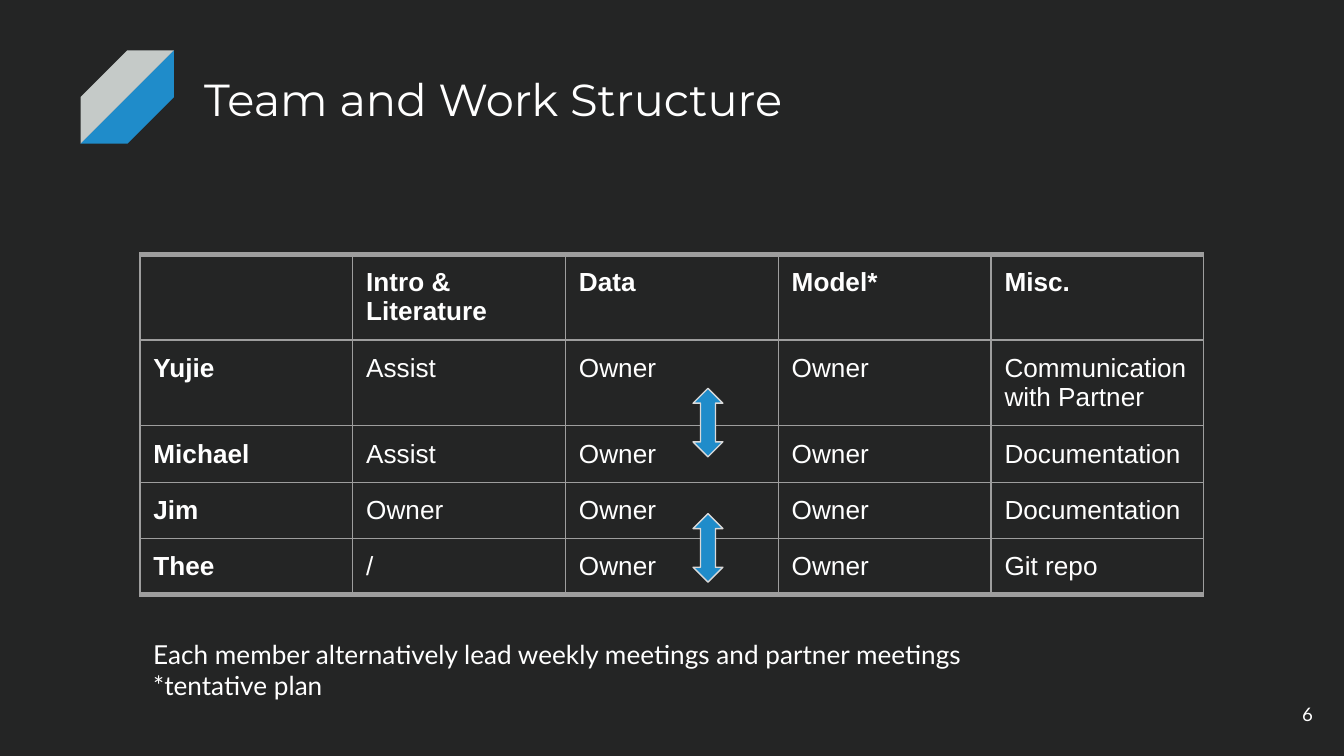
from lxml import etree
from pptx import Presentation
from pptx.dml.color import RGBColor
from pptx.enum import shapes, text
from pptx.oxml import ns
from pptx.util import Pt

C = {"bg": "242525", "white": "FFFFFF", "blue": "1F8CCA",
     "stripe": "C5CAC8", "border": "9E9E9E", "outline": "D9D9D9"}


def style(tf, size, font, bold=False, align=text.PP_ALIGN.LEFT):
    tf.word_wrap = True
    tf.margin_left = tf.margin_right = tf.margin_top = tf.margin_bottom = Pt(7.2)
    for p in tf.paragraphs:
        p.alignment = align
        for r in p.runs:
            r.font.size, r.font.name, r.font.bold = Pt(size), font, bold
            r.font.color.rgb = RGBColor.from_string(C["white"])


def add_border(cell, side, width):
    ln = etree.SubElement(cell._tc.get_or_add_tcPr(), ns.qn(f"a:ln{side}"), w=str(Pt(width)))
    fill = etree.SubElement(ln, ns.qn("a:solidFill"))
    etree.SubElement(fill, ns.qn("a:srgbClr"), val=C["border"])


prs = Presentation()
prs.slide_width, prs.slide_height = Pt(720), Pt(405)
s = prs.slides.add_slide(prs.slide_layouts[5])
s.background.fill.solid()
s.background.fill.fore_color.rgb = RGBColor.from_string(C["bg"])

for color, angle in (("stripe", 0), ("blue", 180)):
    sp = s.shapes.add_shape(shapes.MSO_SHAPE.DIAGONAL_STRIPE, Pt(43.2), Pt(27), Pt(50), Pt(50))
    sp.rotation = angle
    sp.shadow.inherit = False
    sp.fill.solid()
    sp.fill.fore_color.rgb = RGBColor.from_string(C[color])
    sp.line.fill.background()

title = s.shapes.title
title.left, title.top, title.width, title.height = Pt(102.2), Pt(31), Pt(554.4), Pt(72)
tf = title.text_frame
tf.text = "Team and Work Structure"
tf.auto_size = text.MSO_AUTO_SIZE.NONE
tf.vertical_anchor = text.MSO_ANCHOR.TOP
style(tf, 24, "Montserrat")

rows = [
    ["", "Intro & Literature", "Data", "Model*", "Misc."],
    ["Yujie", "Assist", "Owner", "Owner", "Communication with Partner"],
    ["Michael", "Assist", "Owner", "Owner", "Documentation"],
    ["Jim", "Owner", "Owner", "Owner", "Documentation"],
    ["Thee", "/", "Owner", "Owner", "Git repo"],
]
heights = [46, 46, 30, 30, 30]
table = s.shapes.add_table(5, 5, Pt(75), Pt(136.2), Pt(570), Pt(sum(heights))).table
table.first_row = table.horz_banding = False
for col in table.columns:
    col.width = Pt(114)
for i, (row, height) in enumerate(zip(rows, heights)):
    table.rows[i].height = Pt(height)
    for j, label in enumerate(row):
        cell = table.cell(i, j)
        cell.text = label
        cell.margin_left = cell.margin_right = cell.margin_top = cell.margin_bottom = Pt(7.2)
        style(cell.text_frame, 14, "Arial", bold=i == 0 or j == 0)
        for side in "LRTB":
            outer = (side == "T" and i == 0) or (side == "B" and i == len(rows) - 1)
            add_border(cell, side, 3 if outer else 0.75)
        cell.fill.background()

sp = s.shapes.add_textbox(Pt(75), Pt(334.8), Pt(570), Pt(48.2))
tf = sp.text_frame
tf.text = "Each member alternatively lead weekly meetings and partner meetings\n*tentative plan"
style(tf, 14, "Lato")

for top in (208, 275.2):
    sp = s.shapes.add_shape(shapes.MSO_SHAPE.UP_DOWN_ARROW, Pt(371.3), Pt(top), Pt(16), Pt(36.7))
    sp.adjustments[0] = sp.adjustments[1] = 0.5
    sp.shadow.inherit = False
    sp.fill.solid()
    sp.fill.fore_color.rgb = RGBColor.from_string(C["blue"])
    sp.line.color.rgb = RGBColor.from_string(C["outline"])
    sp.line.width = Pt(0.75)

sp = s.shapes.add_textbox(Pt(667.2), Pt(367.2), Pt(43.2), Pt(31))
tf = sp.text_frame
tf.text = "6"
tf.vertical_anchor = text.MSO_ANCHOR.MIDDLE
style(tf, 10, "Lato", align=text.PP_ALIGN.RIGHT)

prs.save("out.pptx")
